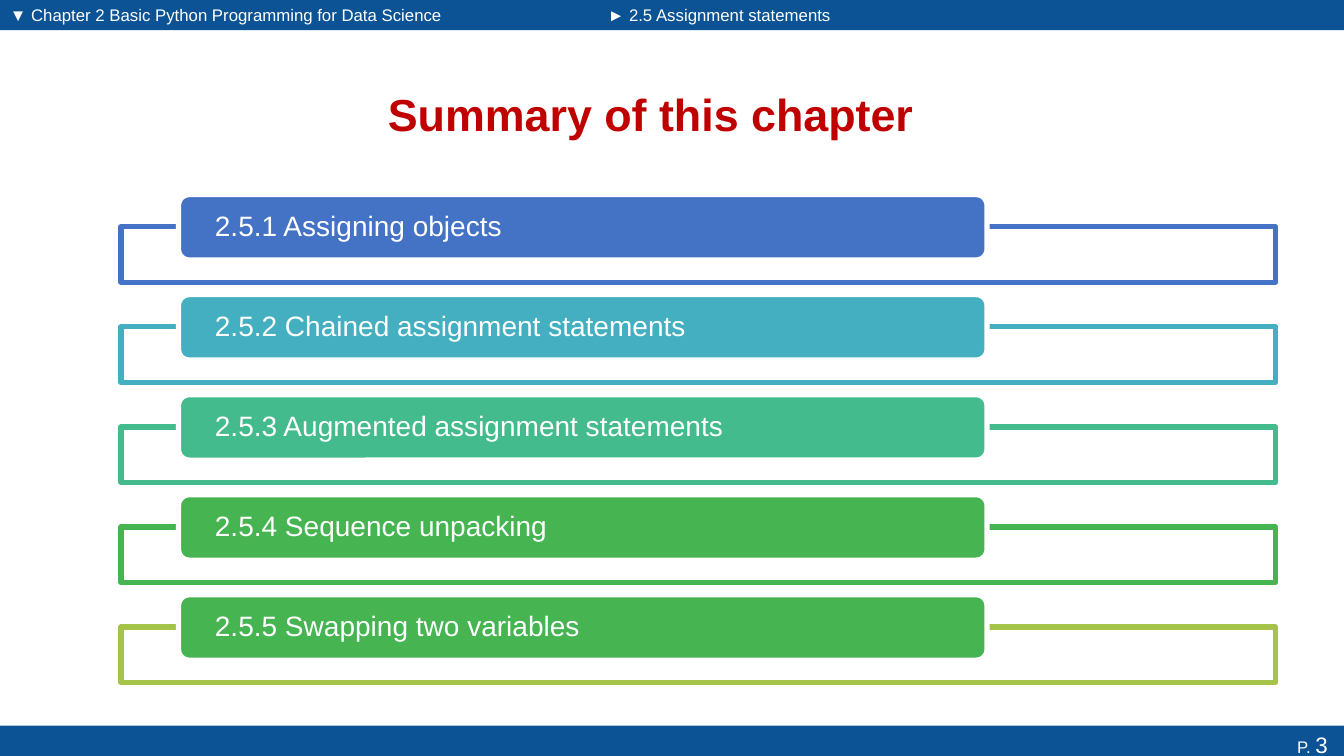
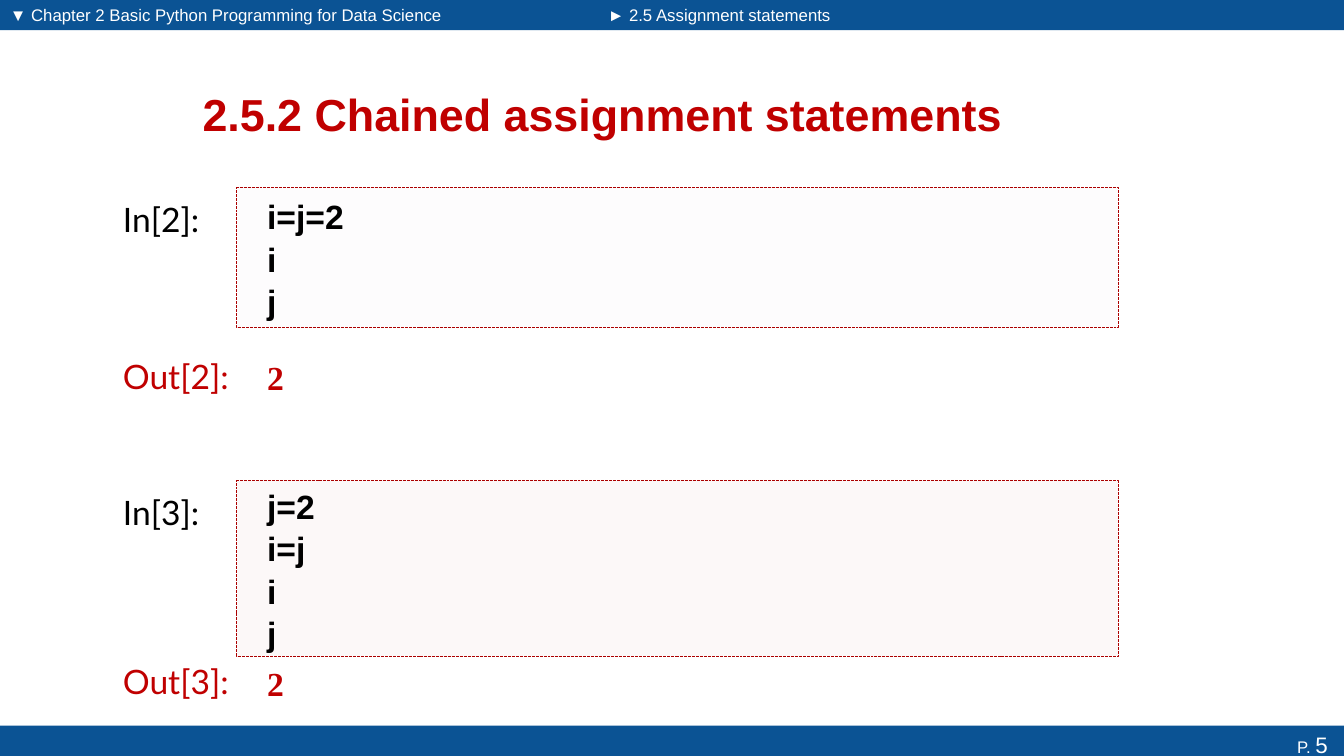
"""Builds two lecture slides on Python assignment statements."""
from dataclasses import dataclass

from lxml import etree
from pptx import Presentation
from pptx.dml.color import RGBColor
from pptx.enum.dml import MSO_LINE
from pptx.enum.shapes import MSO_SHAPE
from pptx.enum.text import MSO_ANCHOR, PP_ALIGN
from pptx.oxml.ns import qn
from pptx.util import Inches, Pt

RECTANGLE, ROUNDED = MSO_SHAPE.RECTANGLE, MSO_SHAPE.ROUNDED_RECTANGLE
TOP, MIDDLE = MSO_ANCHOR.TOP, MSO_ANCHOR.MIDDLE
LEFT, CENTER, RIGHT = PP_ALIGN.LEFT, PP_ALIGN.CENTER, PP_ALIGN.RIGHT
SYSTEM_DASH = MSO_LINE.SQUARE_DOT


@dataclass(frozen=True)
class Theme:
    """Colours, fonts and type sizes of the deck."""
    band: str = "0B5394"
    accent: str = "C00000"
    code_border: str = "AB0000"
    white: str = "FFFFFF"
    black: str = "000000"
    sans: str = "Arial"
    label_font: str = "Lato"
    result_font: str = "Times New Roman"
    title_size: int = 32
    code_size: int = 24
    section_size: int = 20
    page_size: int = 16
    small_size: int = 12
    frame_line: float = 3.78
    code_line: float = 0.7


THEME = Theme()

CHAPTER = "▼ Chapter 2 Basic Python Programming for Data Science"
SECTION = "► 2.5 Assignment statements"

SUMMARY = {"title": "Summary of this chapter", "title_left": 2.51, "title_width": 7.89, "page": 3}
SECTIONS = [
    ("2.5.1 Assigning objects", "4472C4", "4472C4"),
    ("2.5.2 Chained assignment statements", "43AFC0", "43AFC0"),
    ("2.5.3 Augmented assignment statements", "43BB8D", "43BB8D"),
    ("2.5.4 Sequence unpacking", "45B451", "45B451"),
    ("2.5.5 Swapping two variables", "45B451", "A5C249"),
]

CHAINED = {"title": "2.5.2 Chained assignment statements ", "title_left": 0.68,
           "title_width": 10.72, "page": 5}
CELLS = [
    {"number": 2, "code": ["i=j=2", "i", "j"], "result": "2", "tint": "F1EEF4",
     "top": 1.86, "height": 1.39, "result_top": 3.42},
    {"number": 3, "code": ["j=2", "i=j", "i", "j"], "result": "2", "tint": "EDCDCB",
     "top": 4.77, "height": 1.74, "result_top": 6.45},
]

WIDTH, HEIGHT = 13.33, 7.5
BAND_HEIGHT, BAND_SPLIT = 0.3, 5.93
TITLE_TOP, TITLE_HEIGHT = 0.68, 0.9
FRAME_LEFT, FRAME_WIDTH, FRAME_HEIGHT = 1.2, 11.45, 0.55
FRAME_FIRST, FRAME_LAST = 2.25, 6.22
PILL_LEFT, PILL_WIDTH, PILL_HEIGHT, PILL_RISE = 1.77, 8.02, 0.65, 0.32
LABEL_LEFT, LABEL_WIDTH, LABEL_HEIGHT, LABEL_DROP = 1.12, 1.35, 0.5, 0.06
CODE_LEFT, CODE_WIDTH, RESULT_HEIGHT = 2.35, 8.74, 0.65
CODE_OPACITY = 13
DEFAULT_INSETS = (0.1, 0.05, 0.1, 0.05)
CODE_INSETS = (0.3, 0.05, 0.1, 0.05)
PILL_INSETS = (0.33, 0, 0.33, 0)


def color(value):
    """Return a colour from its hexadecimal value."""
    return RGBColor.from_string(value)


def style_font(font, size, value, name=THEME.sans, bold=False):
    """Apply the given type style."""
    font.size, font.name, font.bold = Pt(size), name, bold
    font.color.rgb = color(value)


def set_frame(shape, anchor, insets):
    """Set wrapping, anchor and insets, and return the text frame."""
    frame = shape.text_frame
    frame.word_wrap, frame.vertical_anchor = True, anchor
    (frame.margin_left, frame.margin_top,
     frame.margin_right, frame.margin_bottom) = map(Inches, insets)
    return frame


def write(shape, lines, size, value, name=THEME.sans, bold=False, align=LEFT,
          anchor=TOP, insets=DEFAULT_INSETS, spacing=1.0):
    """Write one paragraph for each line."""
    frame = set_frame(shape, anchor, insets)
    frame.text = "\n".join(lines)
    for paragraph in frame.paragraphs:
        paragraph.alignment, paragraph.line_spacing = align, spacing
        style_font(paragraph.font, size, value, name, bold)


def add_text(slide, box, text, size, value, **style):
    """Add a text box at (left, top, width, height)."""
    write(slide.shapes.add_textbox(*map(Inches, box)), [text], size, value, **style)


def add_box(slide, box, fill, line=None, line_width=0, preset=RECTANGLE, opacity=100):
    """Add a filled shape with an optional outline."""
    shape = slide.shapes.add_shape(preset, *map(Inches, box))
    shape.shadow.inherit = False
    shape.fill.solid()
    shape.fill.fore_color.rgb = color(fill)
    if opacity < 100:
        fill_color = shape._element.spPr.find(f"{qn('a:solidFill')}/{qn('a:srgbClr')}")
        etree.SubElement(fill_color, qn("a:alpha"), val=str(opacity * 1000))
    if line:
        shape.line.color.rgb = color(line)
        shape.line.width = Pt(line_width)
    else:
        shape.line.fill.background()
    return shape


def add_footer(slide, page):
    """Add the bottom band with the page number."""
    footer = add_box(slide, (0, HEIGHT - BAND_HEIGHT, WIDTH, BAND_HEIGHT), THEME.band)
    paragraph = set_frame(footer, TOP, (0.1, 0.05, 0.1, 0)).paragraphs[0]
    paragraph.alignment = RIGHT
    for text, size in (("P. ", THEME.small_size), (f"{page} ", THEME.page_size)):
        run = paragraph.add_run()
        run.text = text
        style_font(run.font, size, THEME.white)


def add_base_slide(presentation, content):
    """Add a slide with the shared bands, header texts and title."""
    slide = presentation.slides.add_slide(presentation.slide_layouts[6])
    for left, right, text in ((0, BAND_SPLIT, CHAPTER), (BAND_SPLIT, WIDTH, SECTION)):
        box = (left, 0, right - left, BAND_HEIGHT)
        write(add_box(slide, box, THEME.band), [text], THEME.small_size, THEME.white)
    add_footer(slide, content["page"])
    add_text(slide, (content["title_left"], TITLE_TOP, content["title_width"], TITLE_HEIGHT),
             content["title"], THEME.title_size, THEME.accent,
             bold=True, align=CENTER, anchor=MIDDLE)
    return slide


def add_sections(slide):
    """Stack the section labels over their frames at an equal pitch."""
    pitch = (FRAME_LAST - FRAME_FIRST) / (len(SECTIONS) - 1)
    for row, (text, fill, outline) in enumerate(SECTIONS):
        top = FRAME_FIRST + row * pitch
        add_box(slide, (FRAME_LEFT, top, FRAME_WIDTH, FRAME_HEIGHT),
                THEME.white, outline, THEME.frame_line)
        pill = add_box(slide, (PILL_LEFT, top - PILL_RISE, PILL_WIDTH, PILL_HEIGHT),
                       fill, THEME.white, THEME.frame_line, ROUNDED)
        write(pill, [text], THEME.section_size, THEME.white,
              anchor=MIDDLE, insets=PILL_INSETS, spacing=0.9)


def add_cell(slide, cell):
    """Add one notebook cell with its code and result."""
    for kind, top, value in (("In", cell["top"], THEME.black),
                             ("Out", cell["result_top"], THEME.accent)):
        add_text(slide, (LABEL_LEFT, top + LABEL_DROP, LABEL_WIDTH, LABEL_HEIGHT),
                 f"{kind}[{cell['number']}]:", THEME.code_size, value, name=THEME.label_font)
    code = add_box(slide, (CODE_LEFT, cell["top"], CODE_WIDTH, cell["height"]), cell["tint"],
                   THEME.code_border, THEME.code_line, opacity=CODE_OPACITY)
    code.line.dash_style = SYSTEM_DASH
    write(code, cell["code"], THEME.code_size, THEME.black, bold=True,
          anchor=MIDDLE, insets=CODE_INSETS, spacing=1.05)
    add_text(slide, (CODE_LEFT, cell["result_top"], CODE_WIDTH, RESULT_HEIGHT), cell["result"],
             THEME.code_size, THEME.accent, name=THEME.result_font, bold=True,
             anchor=MIDDLE, insets=CODE_INSETS)


def main():
    """Build and save the presentation."""
    presentation = Presentation()
    presentation.slide_width, presentation.slide_height = Inches(WIDTH), Inches(HEIGHT)
    add_sections(add_base_slide(presentation, SUMMARY))
    chained_slide = add_base_slide(presentation, CHAINED)
    for cell in CELLS:
        add_cell(chained_slide, cell)
    presentation.save("out.pptx")


if __name__ == "__main__":
    main()
